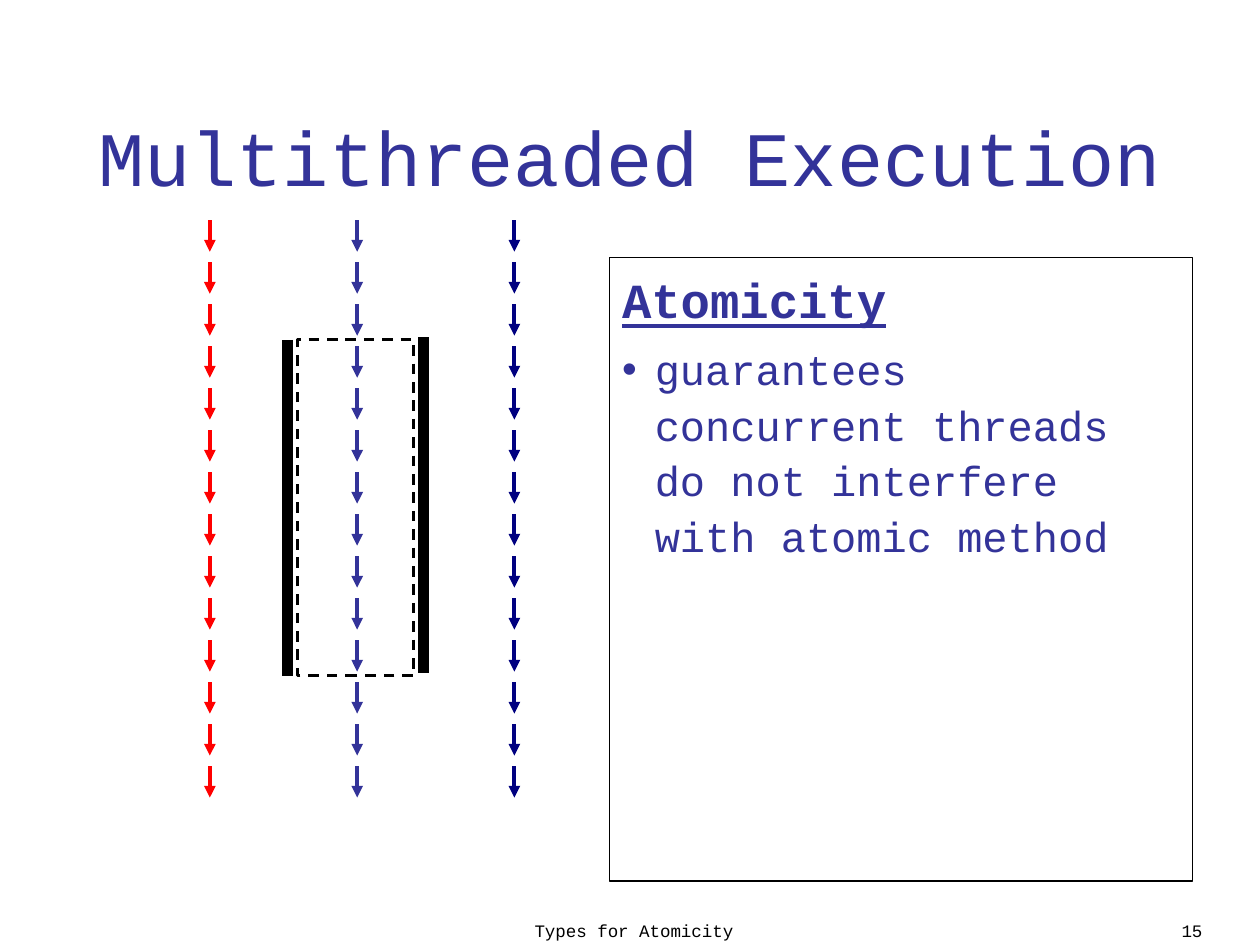
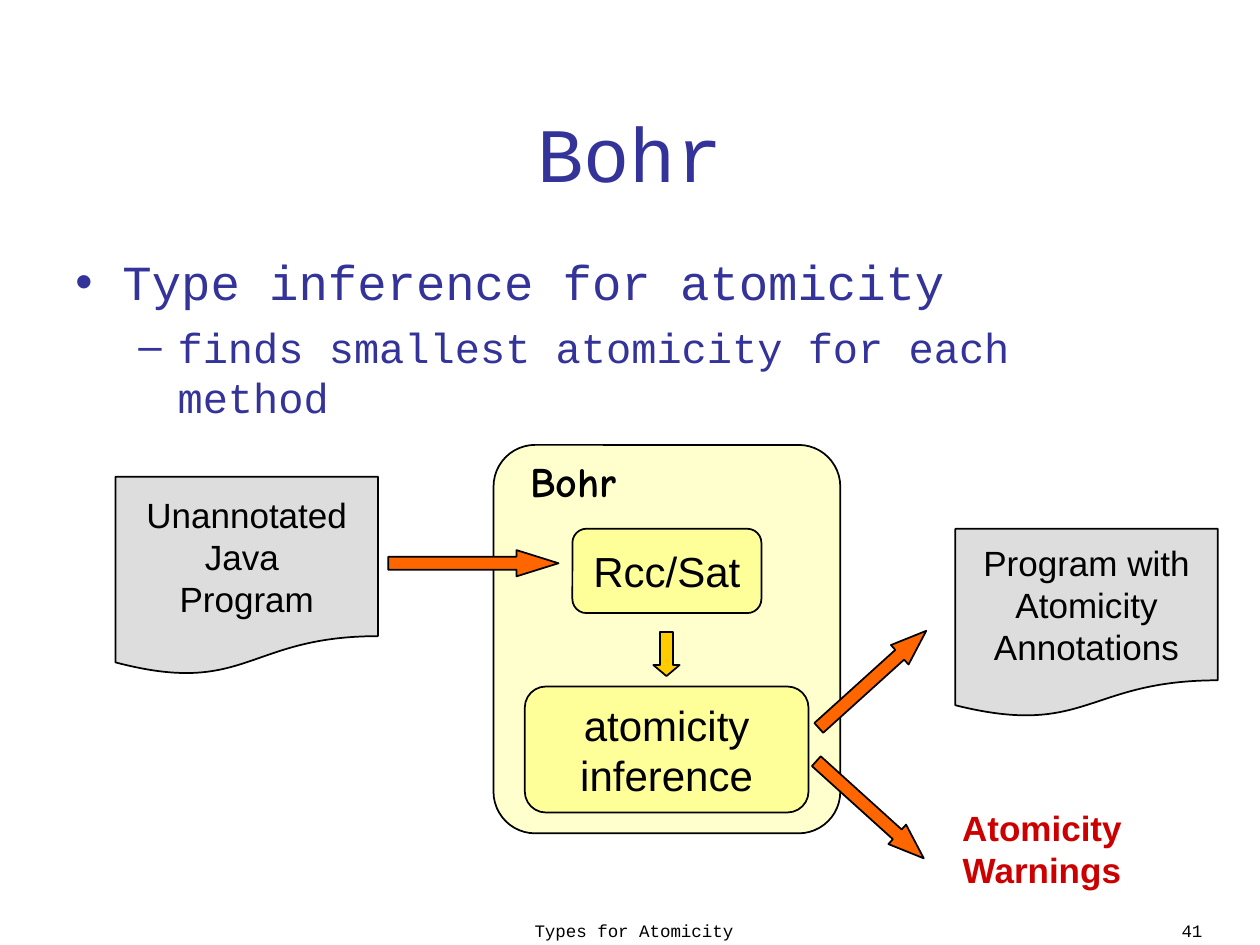
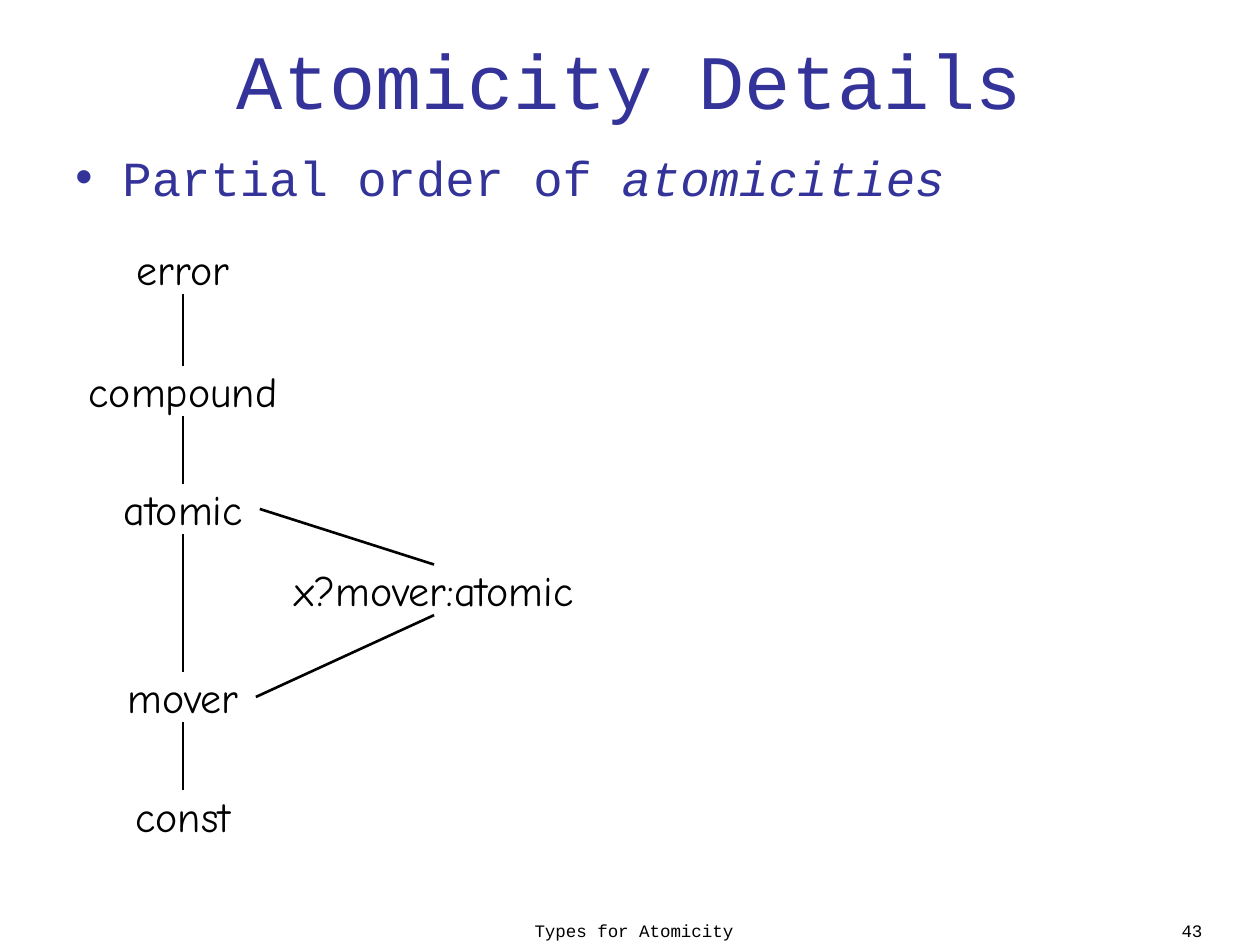
from itertools import pairwise

from lxml.etree import SubElement
from pptx import Presentation
from pptx.dml.color import RGBColor as RGB
from pptx.enum.dml import MSO_LINE
from pptx.enum.shapes import MSO_CONNECTOR as LINK, MSO_SHAPE as SHAPE
from pptx.enum.text import MSO_ANCHOR as ANCHOR, PP_ALIGN as ALIGN
from pptx.oxml.ns import qn
from pptx.util import Cm, Pt

INDIGO = RGB(0x33, 0x33, 0x99)
NAVY = RGB(0x00, 0x00, 0x80)
RED = RGB(0xFF, 0x00, 0x00)
CRIMSON = RGB(0xCC, 0x00, 0x00)
YELLOW = RGB(0xFF, 0xFF, 0x99)
GOLD = RGB(0xFF, 0xCC, 0x00)
ORANGE = RGB(0xFF, 0x66, 0x00)
GREY = RGB(0xDD, 0xDD, 0xDD)
BLACK = RGB(0x00, 0x00, 0x00)

MONO, SANS, HAND = "Courier New", "Arial", "Comic Neue"
WIDTH, HEIGHT = 25.4, 19.05


def style(run, size, color, face=MONO, bold=False):
    font = run.font
    font.name, font.size, font.bold = face, Pt(size), bold
    font.color.rgb = color


def write(shape, text, size, color=BLACK, face=SANS, bold=False,
          align=ALIGN.CENTER, anchor=ANCHOR.MIDDLE, wrap=False):
    """Fill a shape with evenly styled text, one paragraph per line."""
    frame = shape.text_frame
    frame.text = text
    frame.word_wrap = wrap
    frame.vertical_anchor = anchor
    if not wrap:
        frame.margin_left = frame.margin_right = 0
    for para in frame.paragraphs:
        para.alignment = align
        for run in para.runs:
            style(run, size, color, face, bold)


def label(slide, box, text, size, **look):
    area = slide.shapes.add_textbox(*map(Cm, box))
    write(area, text, size, **look)


def block(slide, kind, box, fill=None, weight=1, turn=0, adjust=()):
    shape = slide.shapes.add_shape(kind, *map(Cm, box))
    shape.shadow.inherit = False
    if fill is None:
        shape.fill.background()
    else:
        shape.fill.solid()
        shape.fill.fore_color.rgb = fill
    shape.line.color.rgb = BLACK
    shape.line.width = Pt(weight)
    shape.rotation = turn
    for i, value in enumerate(adjust):
        shape.adjustments[i] = value
    return shape


def link(shapes, start, end, weight, color=BLACK, arrow=False):
    line = shapes.add_connector(LINK.STRAIGHT, *map(Cm, (*start, *end)))
    line.line.color.rgb = color
    line.line.width = Pt(weight)
    if arrow:
        SubElement(line.line._get_or_add_ln(), qn("a:tailEnd"), type="triangle")
    SubElement(line._element.spPr, qn("a:effectLst"))


def bullet(para, mark, left, hang):
    props = para._p.get_or_add_pPr()
    props.set("marL", str(Cm(left)))
    props.set("indent", str(-Cm(hang)))
    tint = SubElement(props, qn("a:buClr"))
    SubElement(tint, qn("a:srgbClr"), val=str(INDIGO))
    SubElement(props, qn("a:buFont"), typeface=SANS)
    SubElement(props, qn("a:buChar"), char=mark)


def body(slide, box, items):
    """Write (text, size, bullet) items; the bullet is (mark, left, hang) or None."""
    area = slide.shapes.add_textbox(*map(Cm, box))
    frame = area.text_frame
    frame.word_wrap = True
    for i, (text, size, mark) in enumerate(items):
        para = frame.add_paragraph() if i else frame.paragraphs[0]
        para.text = text
        if mark:
            bullet(para, *mark)
        if i:
            para.space_before = Pt(6)
        style(para.runs[0], size, INDIGO)
    return area


def base(deck, title, box, number):
    """Add a slide with its title and footer."""
    slide = deck.slides.add_slide(deck.slide_layouts[6])
    label(slide, box, title, 44, color=INDIGO, face=MONO, wrap=True)
    foot = dict(face=MONO, anchor=ANCHOR.TOP, wrap=True)
    label(slide, (6.29, 18.42, 12.98, 0.63), "Types for Atomicity", 10, **foot)
    label(slide, (18.57, 18.42, 5.92, 0.63), str(number), 10,
          align=ALIGN.RIGHT, **foot)
    return slide


def thread(slide, x, y, h, color, count=14):
    """Stack short arrows, each three quarters of its step."""
    group = slide.shapes.add_group_shape()
    step = h / count
    for i in range(count):
        top = y + i * step
        link(group.shapes, (x, top), (x, top + 0.75 * step), 2.25, color, True)


def guard(slide, x, y, w, h):
    """Frame the atomic section with a dashed box between two walls."""
    frame = block(slide, SHAPE.RECTANGLE, (x, y, w, h), weight=1.5)
    frame.line.dash_style = MSO_LINE.DASH
    for wall, top in ((x - 0.2, y), (x + w + 0.2, y - 0.05)):
        link(slide.shapes, (wall, top), (wall, top + h), 6)


def threads(deck):
    slide = base(deck, "Multithreaded Execution", (0, 1.86, WIDTH, 2.54), 15)
    for x, color in ((4.23, RED), (7.2, INDIGO), (10.37, NAVY)):
        thread(slide, x, 4.44, 11.85, color)
    guard(slide, 6, 6.85, 2.34, 6.77)
    area = body(slide, (12.29, 5.19, 11.75, 12.57), [
        ("Atomicity", 28, None),
        ("guarantees concurrent threads do not interfere with atomic method",
         24, ("•", 0.66, 0.66)),
    ])
    area.line.color.rgb = BLACK
    area.line.width = Pt(0.75)
    for para in area.text_frame.paragraphs:
        para.line_spacing = 1.1
    head = area.text_frame.paragraphs[0].runs[0].font
    head.bold = head.underline = True


def sheet(slide, box, text):
    write(block(slide, SHAPE.FLOWCHART_DOCUMENT, box, GREY), text, 20)


def stage(slide, box, text):
    write(block(slide, SHAPE.ROUNDED_RECTANGLE, box, YELLOW, adjust=[0.167]),
          text, 24)


def arrow(slide, box, head, fill=ORANGE, turn=0):
    block(slide, SHAPE.RIGHT_ARROW, box, fill, turn=turn, adjust=[0.5, head])


def tool(slide, x, y, w, h):
    """Draw the tool's panel with its two stages."""
    panel = block(slide, SHAPE.ROUNDED_RECTANGLE, (x, y, w, h), YELLOW,
                  adjust=[0.12])
    tint = panel.fill._xPr.find(qn("a:solidFill"))[0]
    SubElement(tint, qn("a:alpha"), val="48000")
    label(slide, (x + 0.49, y + 0.08, 2.24, 1.27), "Bohr", 24,
          face=HAND, bold=True)
    stage(slide, (x + 1.59, y + 1.69, 3.81, 1.7), "Rcc/Sat")
    arrow(slide, (x + 3.04, y + 3.95, 0.89, 0.53), 0.42, GOLD, 90)
    stage(slide, (x + 0.63, y + 4.87, 5.72, 2.54), "atomicity\ninference")


def flow(slide, x, y):
    """Show the tool between its input and its results."""
    tool(slide, x + 7.62, y, 6.99, 7.83)
    sheet(slide, (x, y + 0.64, 5.29, 4.01), "Unannotated\nJava \nProgram")
    arrow(slide, (x + 5.5, y + 2.12, 3.43, 0.53), 1.6)
    for left, top, turn in ((13.8, 4.46, -42.1), (13.75, 7.09, 42.1)):
        arrow(slide, (x + left, y + top, 2.92, 0.53), 1.36, turn=turn)
    sheet(slide, (x + 16.93, y + 1.69, 5.29, 3.81),
          "Program with\nAtomicity\nAnnotations")
    label(slide, (x + 16.81, y + 7.16, 3.73, 1.96), "Atomicity\nWarnings", 20,
          color=CRIMSON, bold=True)


def bohr(deck):
    slide = base(deck, "Bohr", (1.27, 1.47, 22.86, 3.18), 41)
    body(slide, (1.27, 4.95, 22.86, 3.9), [
        ("Type inference for atomicity", 28, ("•", 0.95, 0.95)),
        ("finds smallest atomicity for each method", 24, ("–", 2.06, 0.79)),
    ])
    flow(slide, 2.33, 8.97)


def lattice(slide, x, y):
    """Draw the order; x is the centre of the main chain."""
    tall = 1.02
    nodes = {
        "error": (0, 0, 2.39), "compound": (0, 2.47, 4.29),
        "atomic": (0, 4.85, 2.92), "mover": (0, 8.64, 2.77),
        "const": (0, 11.03, 2.41), "x?mover:atomic": (5.06, 6.48, 6.17),
    }

    def port(name, across, down):
        mid, top, wide = nodes[name]
        return x + mid + across * wide, y + top + down * tall

    for name, (mid, top, wide) in nodes.items():
        label(slide, (x + mid - wide / 2, y + top, wide, tall), name, 24,
              face=HAND)
    *chain, branch = nodes
    for upper, lower in pairwise(chain):
        link(slide.shapes, port(upper, 0, 1), port(lower, 0, 0), 1.5)
    for name, side in (("atomic", 0), ("mover", 1)):
        link(slide.shapes, port(name, 0.53, 0.5), port(branch, 0, side), 1.5)


def details(deck):
    slide = base(deck, "Atomicity Details", (1.27, 0, 22.86, 3.18), 43)
    area = body(slide, (1.27, 2.84, 24.13, 1.9),
                [("Partial order of ", 28, ("•", 0.95, 0.95))])
    run = area.text_frame.paragraphs[0].add_run()
    run.text = "atomicities"
    style(run, 28, INDIGO)
    run.font.italic = True
    lattice(slide, 3.69, 4.9)


def main():
    deck = Presentation()
    deck.slide_width, deck.slide_height = Cm(WIDTH), Cm(HEIGHT)
    for build in (threads, bohr, details):
        build(deck)
    deck.save("out.pptx")


if __name__ == "__main__":
    main()
